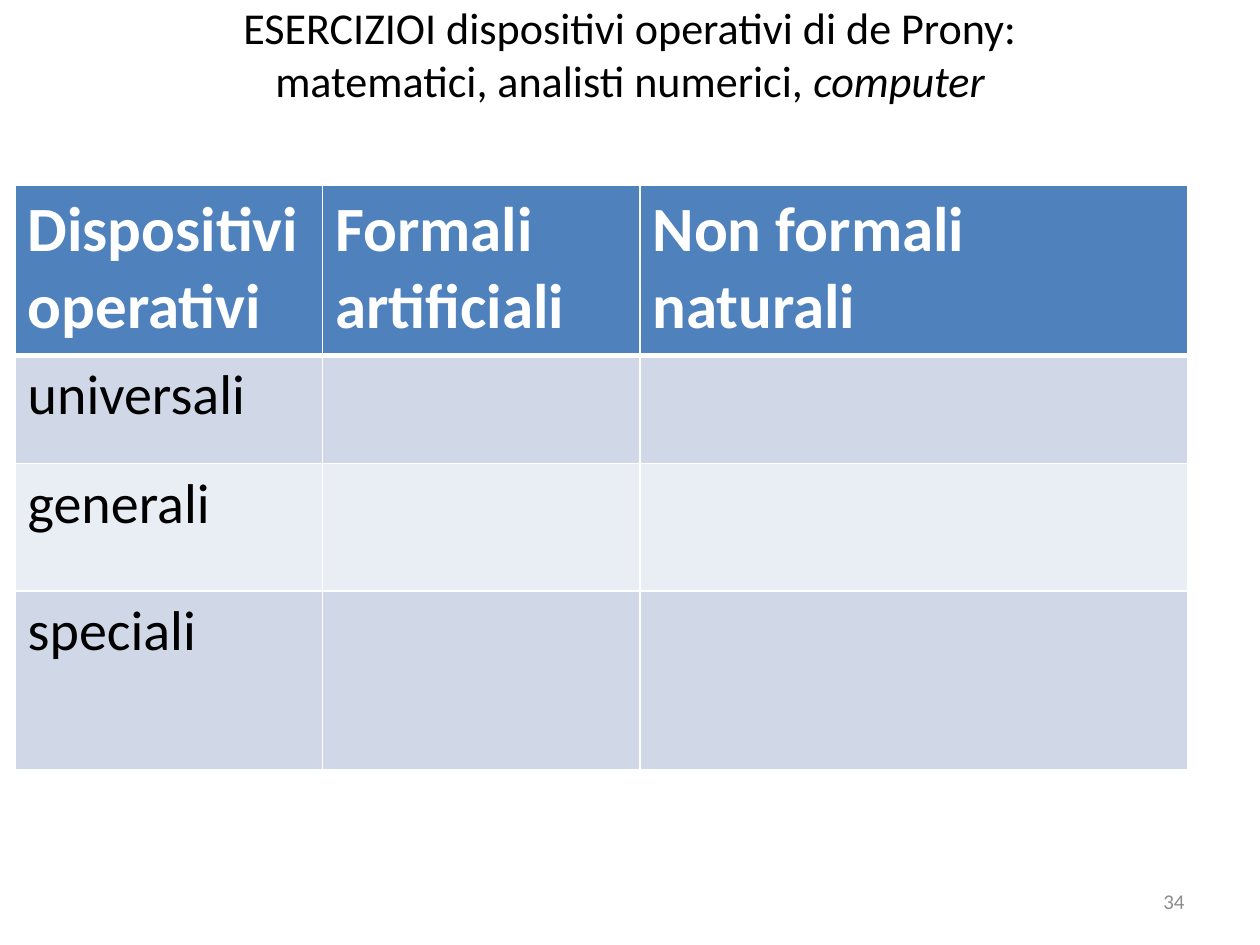
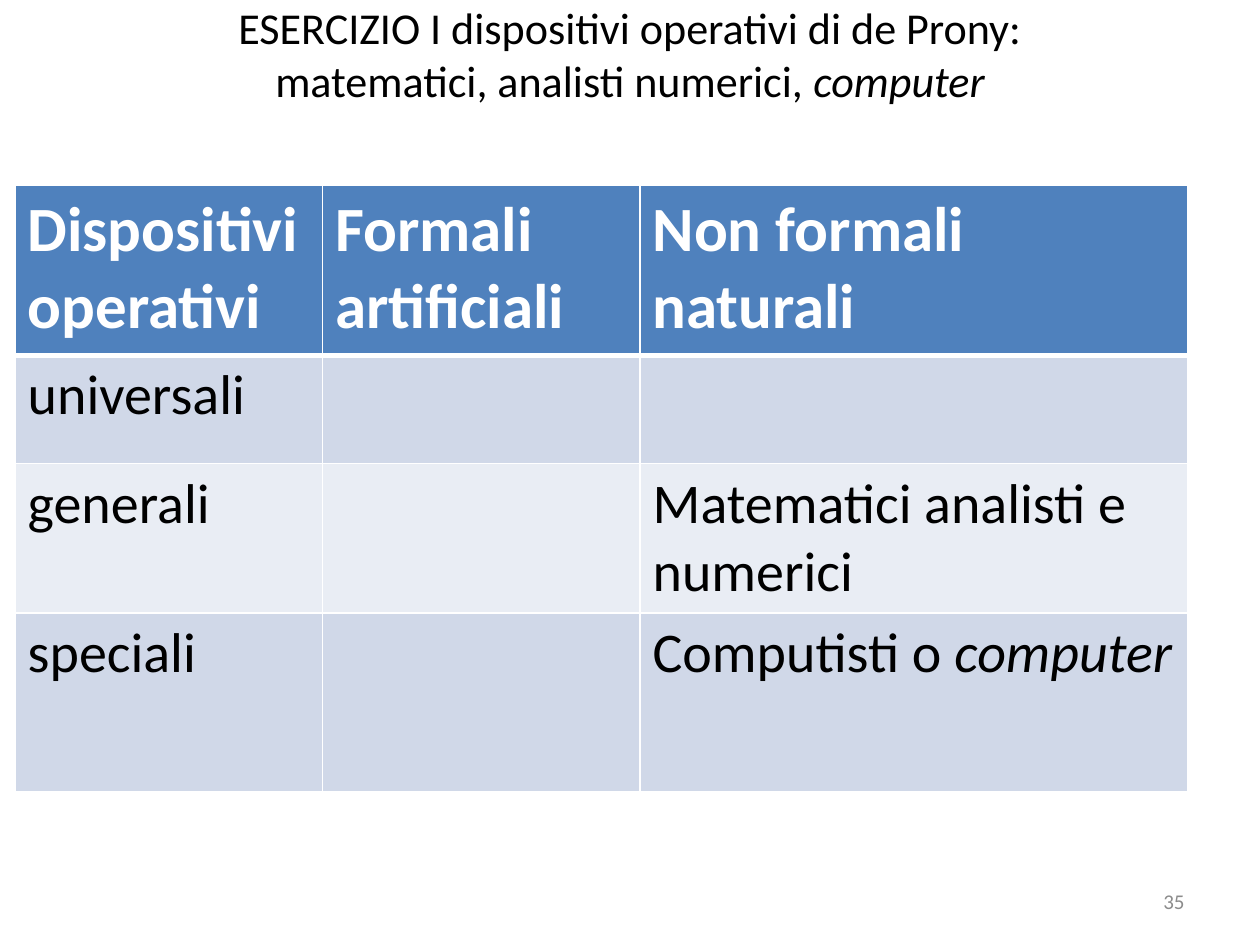
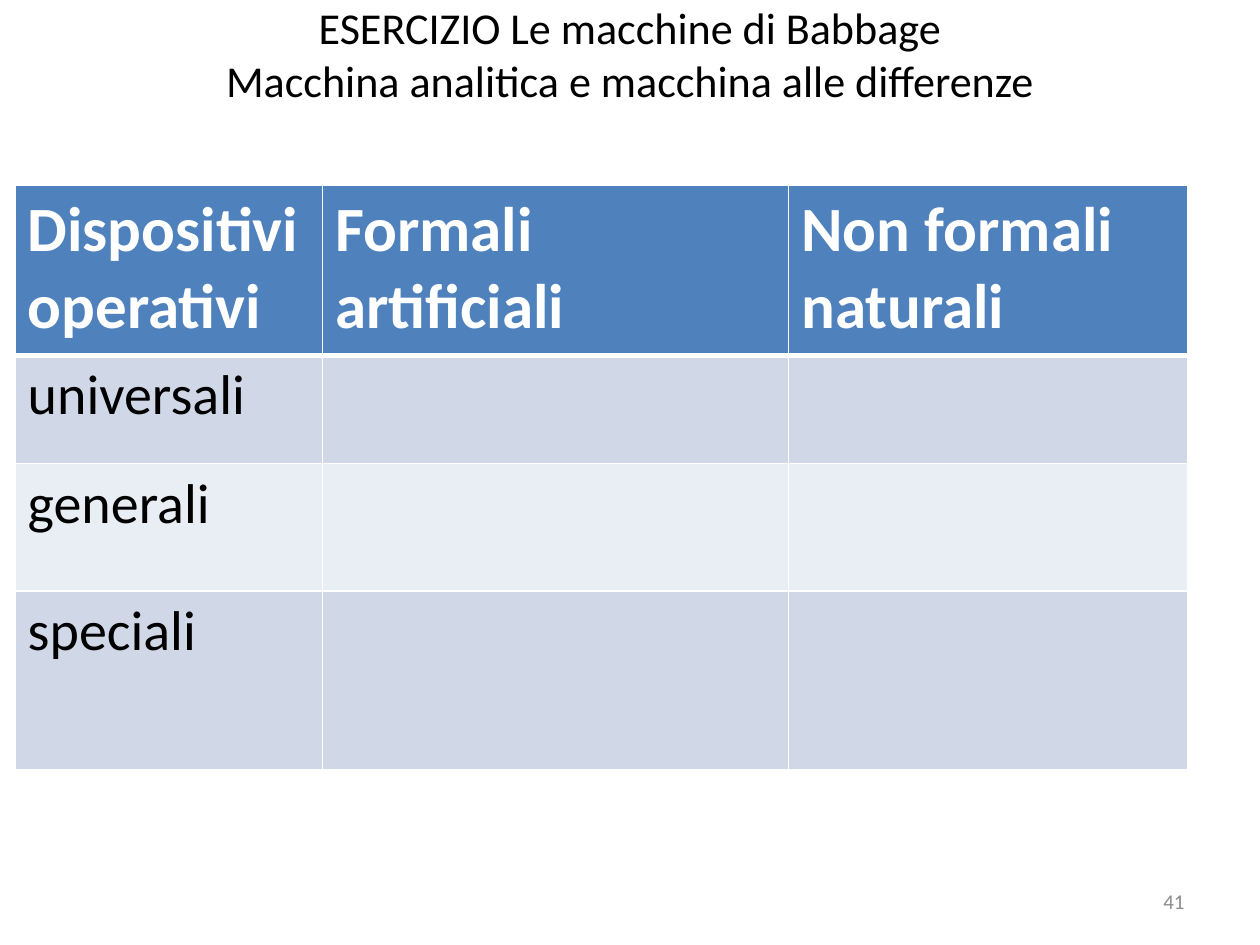
from lxml import etree
from pptx import Presentation
from pptx import util as u
from pptx.dml.color import RGBColor
from pptx.enum import text
from pptx.oxml.ns import qn

FONT = "Calibri"
WHITE, BLACK, GREY = "FFFFFF", "000000", "8C8C8C"
HEADER_FILL, BANDS = "4F81BD", ("D0D8E8", "E9EDF4")
TITLE_SIZE, HEADER_SIZE, BODY_SIZE, NUMBER_SIZE = 25.2, 36, 32, 12

TITLE_BOX = (0.5, 0, 9, 0.84)
TABLE_ORIGIN = (0.12, 1.47)
NUMBER_BOX = (7.17, 6.95, 2.33, 0.4)
ROW_HEIGHTS = (1.35, 0.86, 1.01, 1.42)

HEADINGS = ("Dispositivi \noperativi", "Formali \nartificiali", "Non formali \nnaturali")
LEVELS = ("universali", "generali", "speciali")
PRONY_COLUMNS = (2.44, 2.52, 4.35)
BABBAGE_COLUMNS = (2.44, 3.7, 3.17)
PRONY_SUBJECT = "I dispositivi operativi di de Prony:\vmatematici, analisti numerici, "

# title, italic ending, column widths, answers by (row, column), page number
EXERCISES = (
    ("ESERCIZIO" + PRONY_SUBJECT, "computer", PRONY_COLUMNS, {}, 34),
    ("ESERCIZIO " + PRONY_SUBJECT, "computer", PRONY_COLUMNS,
     {(2, 2): ("Matematici analisti e numerici ", ""),
      (3, 2): ("Computisti o ", "computer")}, 35),
    ("ESERCIZIO Le macchine di Babbage\vMacchina analitica e macchina alle differenze",
     "", BABBAGE_COLUMNS, {}, 41),
)


def rgb(value):
    """Turn a hex string into a colour."""
    return RGBColor.from_string(value)


def write(frame, words, size, colour, bold=False, align=None, italic_end=""):
    """Write text, with an optional italic ending, in one style."""
    frame.text = words
    if italic_end:
        ending = frame.paragraphs[-1].add_run()
        ending.text = italic_end
        ending.font.italic = True
    for paragraph in frame.paragraphs:
        paragraph.alignment = align
        for run in paragraph.runs:
            run.font.name, run.font.size, run.font.bold = FONT, u.Pt(size), bold
            run.font.color.rgb = rgb(colour)


def set_title_style(prs):
    """Set the title size once, on the master."""
    style = prs.slide_master.element.find(".//" + qn("p:titleStyle"))
    style.find(qn("a:lvl1pPr")).find(qn("a:defRPr")).set("sz", str(int(TITLE_SIZE * 100)))


def place_title(slide, box, words, italic_end):
    """Fill the title placeholder and fit it into the box."""
    title = slide.shapes.title
    title.left, title.top, title.width, title.height = map(u.Inches, box)
    frame = title.text_frame
    write(frame, words, TITLE_SIZE, BLACK, None, text.PP_ALIGN.CENTER, italic_end)
    frame.auto_size = text.MSO_AUTO_SIZE.NONE
    frame.vertical_anchor = text.MSO_ANCHOR.MIDDLE


def style_cell(cell, fill, top=1, bottom=1):
    """Give a cell white borders (points) and a fill."""
    properties = cell._tc.get_or_add_tcPr()
    for side, width in (("L", 1), ("R", 1), ("T", top), ("B", bottom)):
        line = etree.SubElement(properties, qn("a:ln" + side), w=str(u.Pt(width)))
        solid = etree.SubElement(line, qn("a:solidFill"))
        etree.SubElement(solid, qn("a:srgbClr"), val=WHITE)
    cell.fill.solid()
    cell.fill.fore_color.rgb = rgb(fill)


def place_table(slide, origin, widths, answers):
    """Draw the grid of operating devices with the given answers."""
    size = (sum(widths), sum(ROW_HEIGHTS))
    table = slide.shapes.add_table(
        len(ROW_HEIGHTS), len(widths), *map(u.Inches, origin + size)).table
    for column, width in zip(table.columns, widths):
        column.width = u.Inches(width)
    for row, height in zip(table.rows, ROW_HEIGHTS):
        row.height = u.Inches(height)
    for c, heading in enumerate(HEADINGS):
        style_cell(table.cell(0, c), HEADER_FILL, bottom=3)
        write(table.cell(0, c).text_frame, heading, HEADER_SIZE, WHITE, True)
    for r, level in enumerate(LEVELS, 1):
        for c in range(len(widths)):
            style_cell(table.cell(r, c), BANDS[(r - 1) % 2], top=3 if r == 1 else 1)
        write(table.cell(r, 0).text_frame, level, BODY_SIZE, BLACK)
    for (r, c), (words, italic_end) in answers.items():
        write(table.cell(r, c).text_frame, words, BODY_SIZE, BLACK, italic_end=italic_end)


def place_number(slide, box, number):
    """Put the page number at the right of the box."""
    frame = slide.shapes.add_textbox(*map(u.Inches, box)).text_frame
    frame.word_wrap = True
    frame.vertical_anchor = text.MSO_ANCHOR.MIDDLE
    write(frame, str(number), NUMBER_SIZE, GREY, align=text.PP_ALIGN.RIGHT)


def add_exercise(prs, title, italic_end, widths, answers, number):
    """Add one exercise slide."""
    slide = prs.slides.add_slide(prs.slide_layouts[5])
    place_title(slide, TITLE_BOX, title, italic_end)
    place_table(slide, TABLE_ORIGIN, widths, answers)
    place_number(slide, NUMBER_BOX, number)


def main():
    """Build and save the deck."""
    prs = Presentation()
    prs.slide_width, prs.slide_height = u.Inches(10), u.Inches(7.5)
    set_title_style(prs)
    for exercise in EXERCISES:
        add_exercise(prs, *exercise)
    prs.save("out.pptx")


main()
